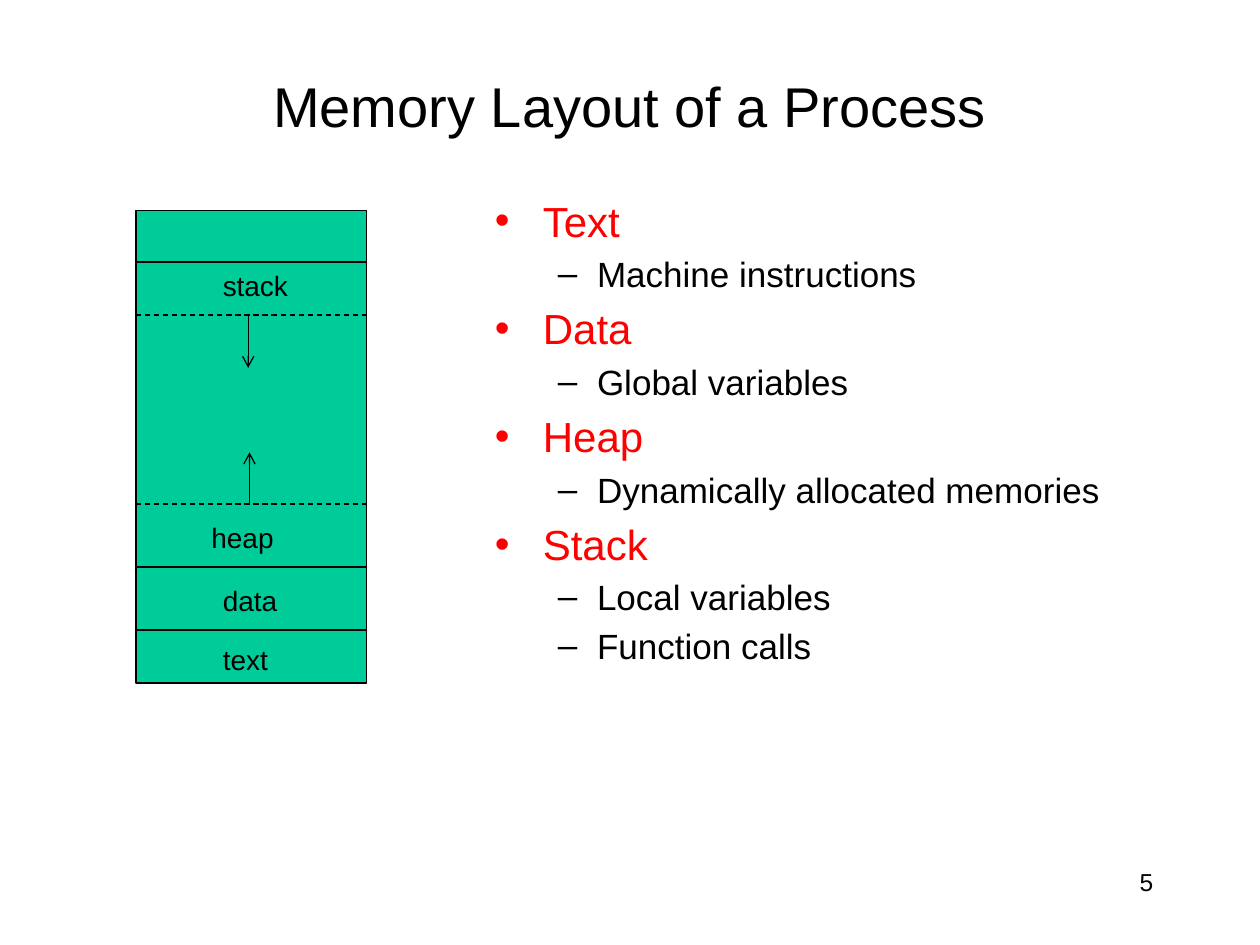
from lxml import etree
from pptx import Presentation
from pptx.dml.color import RGBColor
from pptx.enum.dml import MSO_LINE
from pptx.enum.shapes import MSO_CONNECTOR, MSO_SHAPE
from pptx.enum.text import MSO_ANCHOR, PP_ALIGN
from pptx.oxml.ns import qn
from pptx.util import Inches, Pt

TITLE = "Memory Layout of a Process"
PAGE = "5"
SECTIONS = [
    ("Text", ["Machine instructions"]),
    ("Data", ["Global variables"]),
    ("Heap", ["Dynamically allocated memories"]),
    ("Stack", ["Local variables", "Function calls"]),
]
DIVIDERS = [(2.08, False), (2.5, True), (4, True), (4.5, False), (5, False)]
LABELS = [("stack", 1.67, 2.08), ("heap", 1.58, 4.08),
          ("data", 1.67, 4.58), ("text", 1.67, 5.05)]
GROWTH = [(1.97, 2.5, 2.92), (1.98, 4, 3.59)]
MEMORY = (1.08, 1.67, 1.83, 3.75)

THEME = {
    "font": "Arial", "ink": "000000", "accent": "FF0000", "memory": "00CC99",
    "title": 32, "label": 16, "page": 14, "line": 0.75,
}
LEVELS = [
    {"size": 24, "color": THEME["accent"], "bullet": "•", "left": 0.38, "hang": 0.38},
    {"size": 20, "color": THEME["ink"], "bullet": "–", "left": 0.81, "hang": 0.31},
]


def rgb(name):
    return RGBColor.from_string(name)


def add_run(paragraph, text, size, color=THEME["ink"]):
    run = paragraph.add_run()
    run.text = text
    run.font.name = THEME["font"]
    run.font.size = Pt(size)
    run.font.color.rgb = rgb(color)


def add_box(box, wrap=True):
    frame = slide.shapes.add_textbox(*map(Inches, box)).text_frame
    frame.word_wrap = wrap
    return frame


def add_text(text, box, size, align=PP_ALIGN.LEFT, anchor=MSO_ANCHOR.TOP, wrap=True):
    frame = add_box(box, wrap)
    frame.vertical_anchor = anchor
    frame.paragraphs[0].alignment = align
    add_run(frame.paragraphs[0], text, size)


def add_bullet(paragraph, text, level):
    style = LEVELS[level]
    paragraph.level = level
    props = paragraph._p.get_or_add_pPr()
    props.set("marL", str(Inches(style["left"])))
    props.set("indent", str(-Inches(style["hang"])))
    before = etree.SubElement(props, qn("a:spcBef"))
    etree.SubElement(before, qn("a:spcPct"), val="20000")
    etree.SubElement(props, qn("a:buFont"), typeface=THEME["font"])
    etree.SubElement(props, qn("a:buChar"), char=style["bullet"])
    add_run(paragraph, text, style["size"], style["color"])


def add_line(x1, y1, x2, y2, dashed=False, arrow=False):
    line = slide.shapes.add_connector(
        MSO_CONNECTOR.STRAIGHT, *map(Inches, (x1, y1, x2, y2)))
    line.line.color.rgb = rgb(THEME["ink"])
    line.line.width = Pt(THEME["line"])
    if dashed:
        line.line.dash_style = MSO_LINE.DASH
    if arrow:
        etree.SubElement(line.line._get_or_add_ln(), qn("a:tailEnd"), type="arrow")
    etree.SubElement(line._element.spPr, qn("a:effectLst"))


prs = Presentation()
prs.slide_width, prs.slide_height = Inches(10), Inches(7.5)
slide = prs.slides.add_slide(prs.slide_layouts[6])

add_text(TITLE, (0.75, 0.42, 8.5, 0.83), THEME["title"],
         PP_ALIGN.CENTER, MSO_ANCHOR.MIDDLE)

body = add_box((3.83, 1.5, 5.75, 5.17))
bullets = [(text, level) for head, items in SECTIONS
           for text, level in [(head, 0)] + [(item, 1) for item in items]]
for i, (text, level) in enumerate(bullets):
    add_bullet(body.add_paragraph() if i else body.paragraphs[0], text, level)

add_text(PAGE, (7.17, 6.83, 2.08, 0.5), THEME["page"], PP_ALIGN.RIGHT)

memory = slide.shapes.add_shape(MSO_SHAPE.RECTANGLE, *map(Inches, MEMORY))
memory.shadow.inherit = False
memory.fill.solid()
memory.fill.fore_color.rgb = rgb(THEME["memory"])
memory.line.color.rgb = rgb(THEME["ink"])
memory.line.width = Pt(THEME["line"])

left, _, width, _ = MEMORY
for y, dashed in DIVIDERS:
    add_line(left, y, left + width, y, dashed=dashed)
for text, x, y in LABELS:
    add_text(text, (x, y, 0.74, 0.37), THEME["label"])
for x, start, end in GROWTH:
    add_line(x, start, x, end, arrow=True)

prs.save("out.pptx")
